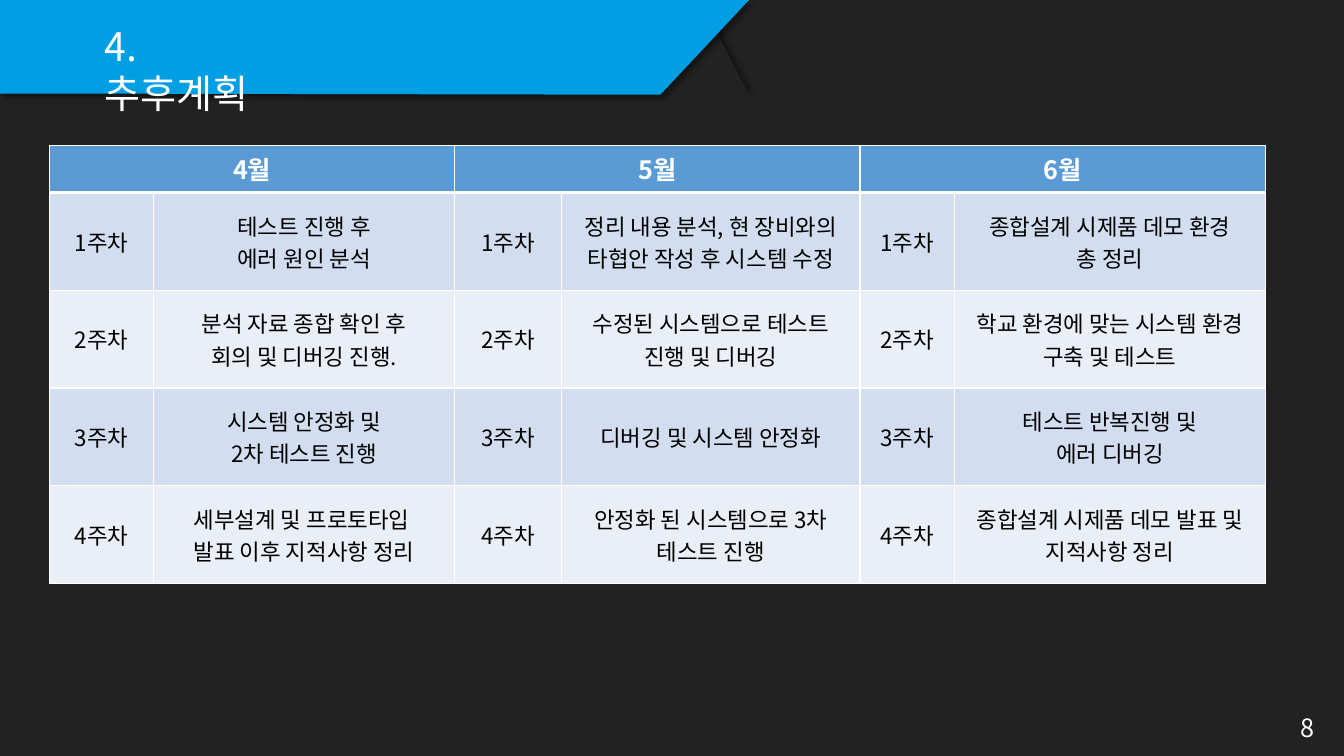
import pptx
import pptx.util
import pptx.dml.color
import pptx.enum.shapes
import pptx.enum.text
import pptx.oxml
import pptx.oxml.ns
from lxml import etree

WHITE, BLACK, DARK, CYAN = "FFFFFF", "000000", "222222", "009FE3"
HEADER, BANDS = "5B9BD5", ("D2DEEF", "EAEFF7")
COLUMN_SHARES = (7.73, 22.43, 7.95, 22.2, 7.05, 23.1)
HEADER_SHARE, WEEK_SHARE = 6.27, 12.93
MONTHS = ("4월", "5월", "6월")
PLANS = (
    ("테스트 진행 후\n에러 원인 분석",
     "정리 내용 분석, 현 장비와의 타협안 작성 후 시스템 수정",
     "종합설계 시제품 데모 환경\n총 정리"),
    ("분석 자료 종합 확인 후\n회의 및 디버깅 진행.",
     "수정된 시스템으로 테스트 진행 및 디버깅",
     "학교 환경에 맞는 시스템 환경 구축 및 테스트"),
    ("시스템 안정화 및\n2차 테스트 진행",
     "디버깅 및 시스템 안정화",
     "테스트 반복진행 및\n에러 디버깅"),
    ("세부설계 및 프로토타입 \n발표 이후 지적사항 정리",
     "안정화 된 시스템으로 3차 테스트 진행",
     "종합설계 시제품 데모 발표 및 지적사항 정리"),
)


def paint(color_fill, color):
    color_fill.solid()
    color_fill.fore_color.rgb = pptx.dml.color.RGBColor.from_string(color)


class PlanSlide:
    """Draws styled elements on one slide, with lengths in percent of its size."""

    font = "Noto Sans CJK KR"
    left = pptx.enum.text.PP_ALIGN.LEFT
    center = pptx.enum.text.PP_ALIGN.CENTER

    def __init__(self, deck):
        self.width, self.height = deck.slide_width, deck.slide_height
        self.slide = deck.slides.add_slide(deck.slide_layouts[5])
        paint(self.slide.background.fill, DARK)

    def x(self, share):
        return round(self.width * share / 100)

    def y(self, share):
        return round(self.height * share / 100)

    def box(self, left, top, width, height):
        return self.x(left), self.y(top), self.x(width), self.y(height)

    def set_text(self, frame, text, size, color, align, bold=False):
        frame.text = text
        for paragraph in frame.paragraphs:
            paragraph.alignment = align
            paragraph.line_spacing = 1.0
            paragraph.space_before = pptx.util.Pt(0)
            for run in paragraph.runs:
                run.font.name = self.font
                run.font.size = pptx.util.Pt(size)
                run.font.bold = bold
                paint(run.font.fill, color)
                east_asian = etree.SubElement(
                    run._r.get_or_add_rPr(), pptx.oxml.ns.qn("a:ea"))
                east_asian.set("typeface", self.font)

    def finish(self, shape, color, direction):
        paint(shape.fill, color)
        shape.line.fill.background()
        shape.shadow.inherit = False
        effects = shape.element.spPr.find(pptx.oxml.ns.qn("a:effectLst"))
        effects.append(pptx.oxml.parse_xml(
            f'<a:outerShdw {pptx.oxml.ns.nsdecls("a")} blurRad="50800" '
            f'dist="38100" dir="{direction * 60000}" algn="tl" rotWithShape="0">'
            f'<a:srgbClr val="{BLACK}"><a:alpha val="40000"/></a:srgbClr>'
            '</a:outerShdw>'))

    def triangle(self, place, color, direction):
        kind = pptx.enum.shapes.MSO_SHAPE.ISOSCELES_TRIANGLE
        fold = self.slide.shapes.add_shape(kind, *self.box(*place))
        self.finish(fold, color, direction)

    def outline(self, corners, color, direction):
        points = [(self.x(across), self.y(down)) for across, down in corners]
        builder = self.slide.shapes.build_freeform(*points[0])
        builder.add_line_segments(points[1:], close=True)
        self.finish(builder.convert_to_shape(), color, direction)

    def title(self, text, place, size):
        heading = self.slide.shapes.title
        heading.left, heading.top, heading.width, heading.height = self.box(*place)
        frame = heading.text_frame
        frame.word_wrap = True
        frame.auto_size = pptx.enum.text.MSO_AUTO_SIZE.NONE
        frame.vertical_anchor = pptx.enum.text.MSO_ANCHOR.TOP
        self.set_text(frame, text, size, WHITE, self.left)
        heading.element.getparent().append(heading.element)

    def label(self, text, place, size):
        frame = self.slide.shapes.add_textbox(*self.box(*place)).text_frame
        frame.word_wrap = True
        self.set_text(frame, text, size, WHITE, self.left)

    def cell(self, cell, text, size, color, fill, bold=False, top=1, bottom=1):
        cell.vertical_anchor = pptx.enum.text.MSO_ANCHOR.MIDDLE
        self.set_text(cell.text_frame, text, size, color, self.center, bold)
        properties = cell._tc.get_or_add_tcPr()
        for side, points in (("L", 1), ("R", 1), ("T", top), ("B", bottom)):
            properties.append(pptx.oxml.parse_xml(
                f'<a:ln{side} {pptx.oxml.ns.nsdecls("a")} w="{points * 12700}">'
                f'<a:solidFill><a:srgbClr val="{WHITE}"/></a:solidFill></a:ln{side}>'))
        paint(cell.fill, fill)

    def schedule(self, left, top):
        total = HEADER_SHARE + WEEK_SHARE * len(PLANS)
        place = self.box(left, top, sum(COLUMN_SHARES), total)
        table = self.slide.shapes.add_table(
            len(PLANS) + 1, len(COLUMN_SHARES), *place).table
        for column, share in zip(table.columns, COLUMN_SHARES):
            column.width = self.x(share)
        for index, row in enumerate(table.rows):
            row.height = self.y(WEEK_SHARE if index else HEADER_SHARE)
        for index, month in enumerate(MONTHS):
            first, second = table.cell(0, 2 * index), table.cell(0, 2 * index + 1)
            first.merge(second)
            self.cell(first, month, 18, WHITE, HEADER, bold=True, bottom=3)
            self.cell(second, "", 18, WHITE, HEADER, bottom=3)
        for week, plans in enumerate(PLANS, start=1):
            fill = BANDS[(week - 1) % 2]
            top_line = 3 if week == 1 else 1
            for index, plan in enumerate(plans):
                for offset, text in enumerate((f"{week}주차", plan)):
                    self.cell(table.cell(week, 2 * index + offset), text,
                              16, BLACK, fill, top=top_line)


def main():
    deck = pptx.Presentation()
    deck.slide_width = pptx.util.Inches(13.33)
    deck.slide_height = pptx.util.Inches(7.5)
    page = PlanSlide(deck)
    page.triangle((49.28, 1.47, 6.45, 11.07), DARK, 315)
    page.outline(((0, 0), (55.73, 0), (49.13, 12.53), (11.63, 12.4), (0, 12.4)),
                 CYAN, 45)
    page.title("4. 추후계획", (7.05, 2.27, 15, 7.6), 28)
    page.label("8", (96, 93.6, 4, 5.33), 18)
    page.schedule(3.68, 19.2)
    deck.save("out.pptx")


if __name__ == "__main__":
    main()
